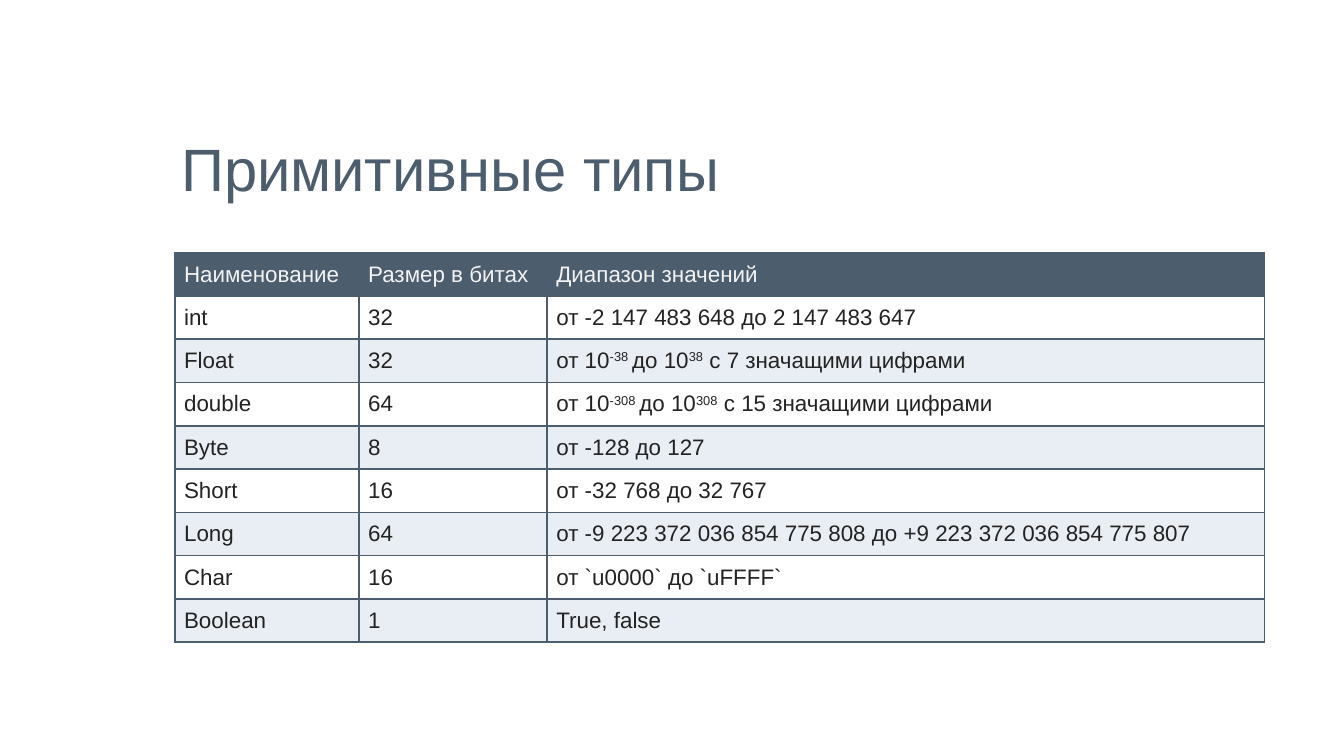
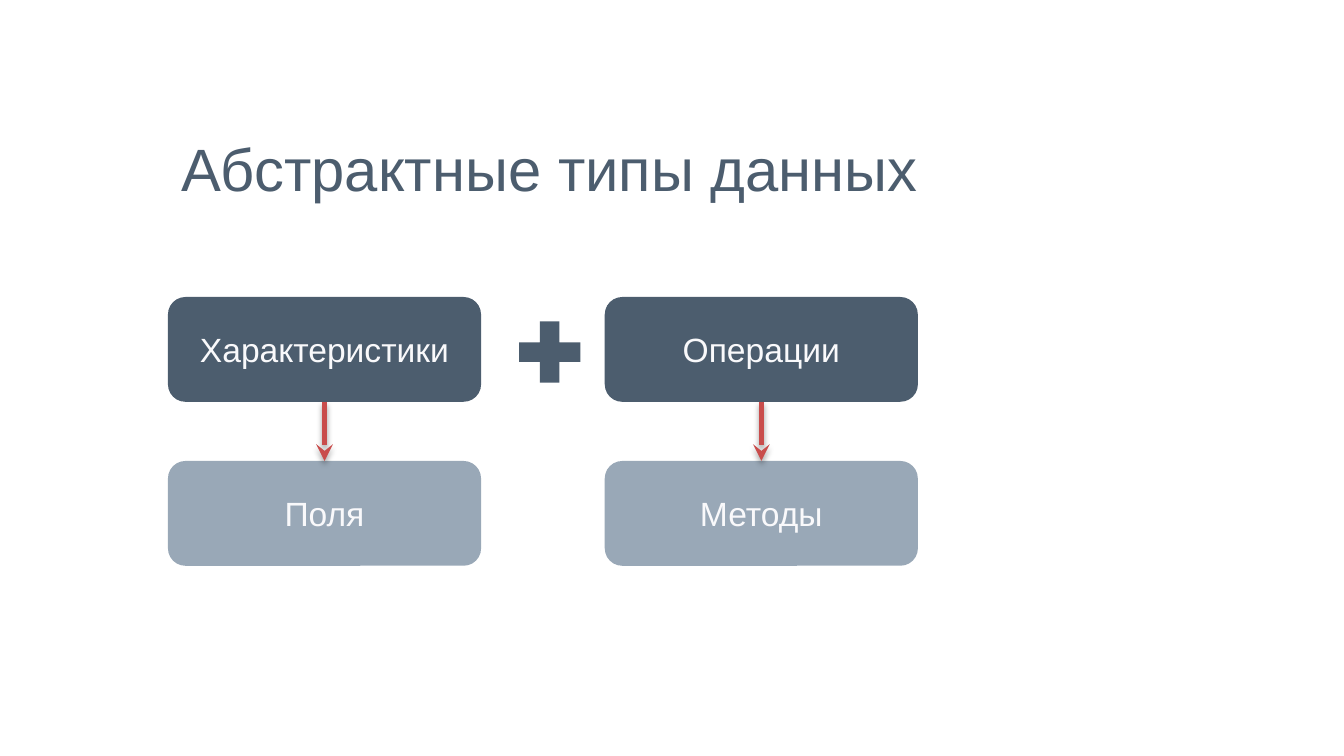
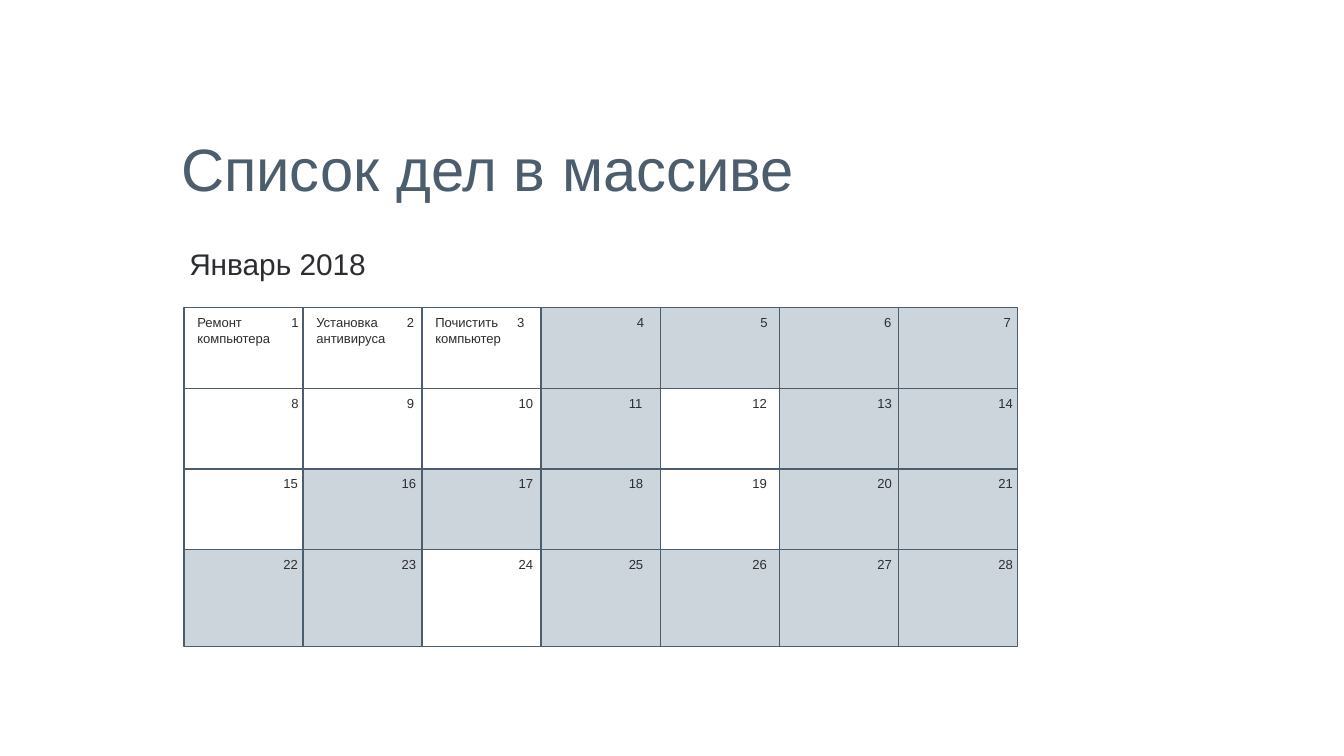
from pptx import Presentation
from pptx.dml.color import RGBColor
from pptx.enum import shapes, text
from pptx.oxml import parse_xml
from pptx.oxml.ns import nsdecls
from pptx.util import Inches, Pt

FONT = "Arial"
SLATE = RGBColor(0x4C, 0x5D, 0x6E)
MIST = RGBColor(0x99, 0xA8, 0xB7)
PALE = RGBColor(0xCC, 0xD4, 0xDC)
BAND = RGBColor(0xE9, 0xED, 0xF4)
WHITE = RGBColor(0xFF, 0xFF, 0xFF)
HEADER_TEXT = RGBColor(0xF3, 0xF3, 0xF3)
BLOCK_TEXT = RGBColor(0xF9, 0xF9, 0xFB)
CELL_TEXT = RGBColor(0x23, 0x23, 0x23)
INK = RGBColor(0x2C, 0x2D, 0x30)
RED = RGBColor(0xC9, 0x4D, 0x4C)

PRIMITIVES = [
    ("Наименование", "Размер в битах", "Диапазон значений"),
    ("int", "32", "от -2\u00a0147\u00a0483\u00a0648 до 2\u00a0147\u00a0483 647"),
    ("Float", "32", "от 10^-38 ^до 10^38^ с 7 значащими цифрами"),
    ("double", "64", "от 10^-308 ^до 10^308^ с 15 значащими цифрами"),
    ("Byte", "8", "от -128 до 127"),
    ("Short", "16", "от -32\u00a0768 до 32 767"),
    ("Long", "64", "от -9\u00a0223\u00a0372\u00a0036\u00a0854\u00a0775\u00a0808"
                   " до +9\u00a0223\u00a0372\u00a0036\u00a0854\u00a0775 807"),
    ("Char", "16", "от `u0000` до `uFFFF`"),
    ("Boolean", "1", "True, false"),
]
TASKS = {1: "Ремонт компьютера", 2: "Установка антивируса", 3: "Почистить компьютер"}
FREE_DAYS = {1, 2, 3, 8, 9, 10, 12, 15, 19, 24}
ONE_DIGIT_OFFSETS = [0.7, 1.56, 2.38, 3.27, 4.19, 5.11, 6]
TWO_DIGIT_OFFSETS = [0.64, 1.52, 2.39, 3.21, 4.13, 5.06, 5.96]


def style_paragraph(paragraph, size, color, alignment=None):
    paragraph.font.name = FONT
    paragraph.font.size = Pt(size)
    paragraph.font.bold = False
    paragraph.font.color.rgb = color
    paragraph.alignment = alignment


def add_label(slide, box, content, size, color, anchor=text.MSO_ANCHOR.TOP,
              alignment=None, inset=0.05):
    frame = slide.shapes.add_textbox(*map(Inches, box)).text_frame
    frame.word_wrap = True
    frame.vertical_anchor = anchor
    frame.margin_top = frame.margin_bottom = Inches(inset)
    frame.text = content
    style_paragraph(frame.paragraphs[0], size, color, alignment)


def add_block(slide, kind, box, fill, line=None):
    shape = slide.shapes.add_shape(kind, *map(Inches, box))
    shape.shadow.inherit = False
    shape.fill.solid()
    shape.fill.fore_color.rgb = fill
    if line is None:
        shape.line.fill.background()
    else:
        shape.line.color.rgb = line
        shape.line.width = Pt(0.75)
    return shape


def write_block(shape, content, size, color, anchor, alignment):
    frame = shape.text_frame
    frame.word_wrap = True
    frame.vertical_anchor = anchor
    frame.text = content
    style_paragraph(frame.paragraphs[0], size, color, alignment)


def add_titled_slide(presentation, title):
    slide = presentation.slides.add_slide(presentation.slide_layouts[6])
    add_label(slide, (1.25, 0.62, 7.5, 1.25), title, 32, SLATE,
              text.MSO_ANCHOR.MIDDLE, inset=0.1)
    return slide


def outline_cell(cell):
    properties = cell._tc.get_or_add_tcPr()
    for index, side in enumerate("LRTB"):
        properties.insert(index, parse_xml(
            f'<a:ln{side} {nsdecls("a")} w="12192"><a:solidFill>'
            f'<a:srgbClr val="{SLATE}"/></a:solidFill></a:ln{side}>'))


def fill_cell(cell, content, fill, color):
    cell.fill.solid()
    cell.fill.fore_color.rgb = fill
    cell.margin_left = cell.margin_right = Inches(0.07)
    cell.margin_top = cell.margin_bottom = Inches(0.04)
    paragraph = cell.text_frame.paragraphs[0]
    style_paragraph(paragraph, 12, color)
    paragraph.line_spacing = 1.15
    for index, part in enumerate(content.split("^")):
        run = paragraph.add_run()
        run.text = part
        if index % 2:
            run.font._element.set("baseline", "30000")
    outline_cell(cell)


def add_type_table(slide, box):
    table = slide.shapes.add_table(len(PRIMITIVES), 3, *map(Inches, box)).table
    for column, width in zip(table.columns, (1.37, 1.4, 5.34)):
        column.width = Inches(width)
    for row, values in enumerate(PRIMITIVES):
        table.rows[row].height = Inches(box[3] / len(PRIMITIVES))
        fill = SLATE if row == 0 else WHITE if row % 2 else BAND
        color = HEADER_TEXT if row == 0 else CELL_TEXT
        for column, content in enumerate(values):
            fill_cell(table.cell(row, column), content, fill, color)


def add_arrow(slide, x, top, bottom):
    connector = slide.shapes.add_connector(
        shapes.MSO_CONNECTOR.STRAIGHT, Inches(x), Inches(top), Inches(x), Inches(bottom))
    connector.line.color.rgb = RED
    connector.line.width = Pt(3)
    connector.line._get_or_add_ln().append(
        parse_xml(f'<a:tailEnd {nsdecls("a")} type="stealth"/>'))
    connector._element.spPr.append(parse_xml(
        f'<a:effectLst {nsdecls("a")}><a:outerShdw blurRad="39370" dist="22860" '
        'dir="5400000" rotWithShape="0"><a:srgbClr val="000000"><a:alpha val="35000"/>'
        '</a:srgbClr></a:outerShdw></a:effectLst>'))


def add_concept_pair(slide, box, concept, member):
    left, top, width, height = box
    block_height = 0.78
    lower_top = top + height - block_height
    for y, content, fill in ((top, concept, SLATE), (lower_top, member, MIST)):
        shape = add_block(slide, shapes.MSO_SHAPE.ROUNDED_RECTANGLE,
                          (left, y, width, block_height), fill)
        write_block(shape, content, 18, BLOCK_TEXT,
                    text.MSO_ANCHOR.MIDDLE, text.PP_ALIGN.CENTER)
    add_arrow(slide, left + width / 2, top + block_height, lower_top)


def add_abstract_types(slide, box):
    left, top, width, height = box
    pair_width = 2.33
    add_concept_pair(slide, (left, top, pair_width, height), "Характеристики", "Поля")
    add_concept_pair(slide, (left + width - pair_width, top, pair_width, height),
                     "Операции", "Методы")
    plus = add_block(slide, shapes.MSO_SHAPE.MATH_PLUS,
                     (left + 2.53, top + 0.1, 0.62, 0.62), SLATE)
    plus.adjustments[0] = 0.235


def add_calendar(slide, box):
    left, top, width, height = box
    column_step, row_step = width / 7, 0.6
    last_height = height - 3 * row_step
    for day in range(1, 29):
        row, column = divmod(day - 1, 7)
        y = top + row * row_step
        cell = add_block(
            slide, shapes.MSO_SHAPE.RECTANGLE,
            (left + column * column_step, y, column_step, last_height if row else row_step),
            WHITE if day in FREE_DAYS else PALE, SLATE)
        if day in TASKS:
            write_block(cell, TASKS[day], 7, INK,
                        text.MSO_ANCHOR.TOP, text.PP_ALIGN.JUSTIFY)
    for day in range(1, 29):
        row, column = divmod(day - 1, 7)
        offsets, label_width = ((ONE_DIGIT_OFFSETS, 0.3) if day < 10
                                else (TWO_DIGIT_OFFSETS, 0.59))
        add_label(slide, (left + offsets[column], top + row * row_step, label_width, 0.24),
                  str(day), 7, INK, alignment=text.PP_ALIGN.JUSTIFY)


presentation = Presentation()
presentation.slide_width = Inches(10)
presentation.slide_height = Inches(10) * 9 // 16

add_type_table(add_titled_slide(presentation, "Примитивные типы"), (1.3, 1.88, 8.11, 2.9))
add_abstract_types(add_titled_slide(presentation, "Абстрактные типы данных"),
                   (1.25, 2.21, 5.58, 2))
calendar_slide = add_titled_slide(presentation, "Список дел в массиве")
add_label(calendar_slide, (1.31, 1.78, 1.95, 0.4), "Январь 2018", 16, INK,
          alignment=text.PP_ALIGN.JUSTIFY)
add_calendar(calendar_slide, (1.37, 2.29, 6.2, 2.52))

presentation.save("out.pptx")
